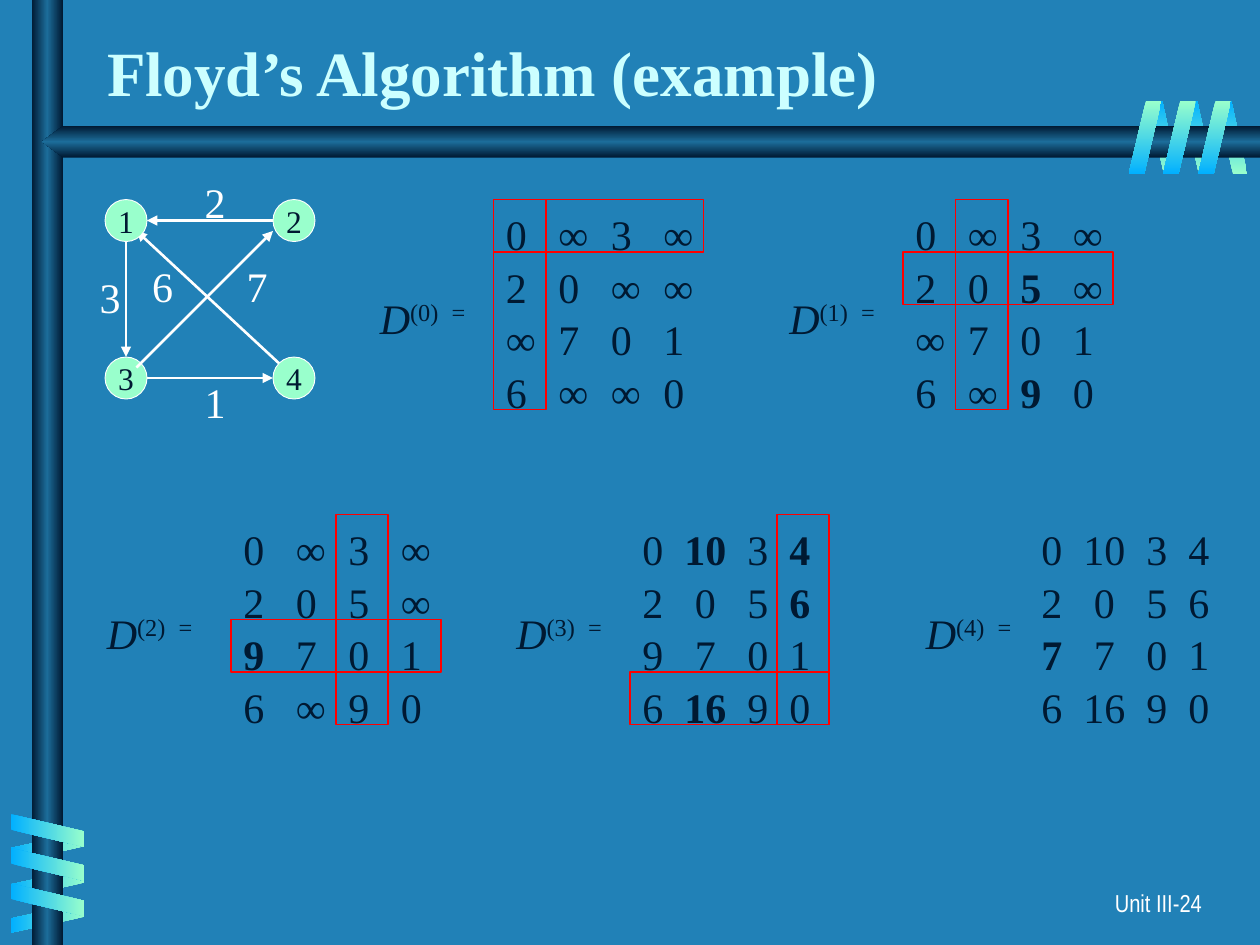
from copy import deepcopy

from lxml import etree
from pptx import Presentation
from pptx.dml.color import RGBColor
from pptx.enum import shapes, text
from pptx.oxml.ns import qn
from pptx.util import Pt

BLUE = RGBColor(0x21, 0x81, 0xB7)
NAVY = RGBColor(0x00, 0x19, 0x32)
STEEL = RGBColor(0x1C, 0x6D, 0x9A)
SKY = RGBColor(0x01, 0xB0, 0xFF)
MINT = RGBColor(0x99, 0xFF, 0xCC)
PALE = RGBColor(0xCC, 0xFF, 0xFF)
WHITE = RGBColor(0xFF, 0xFF, 0xFF)
RED = RGBColor(0xFF, 0x00, 0x00)

TITLE = "Floyd’s Algorithm (example)"
PAGE = "Unit III-24"

BODY = {"name": "Times New Roman", "size": Pt(24)}
MATRIX_FONT = {**BODY, "color": NAVY}
WEIGHT_FONT = {**BODY, "color": WHITE}
NODE_FONT = {**BODY, "size": Pt(18), "color": NAVY}
TITLE_FONT = {**BODY, "size": Pt(36), "color": PALE, "bold": True}
PAGE_FONT = {"name": "Arial Narrow", "size": Pt(14), "color": WHITE}

WIDE = {"align": "l", "tabs": (30, 60, 90), "lefts": (0, 30, 60, 90)}
NARROW = {"align": "ctr", "tabs": (36, 66, 90), "lefts": (0, 24, 60, 84)}
CELL = 30

# label left, matrix left, top, columns, rows; * marks a changed value
MATRICES = [
    (210, 282, 114, WIDE, ["0 ∞ 3 ∞", "2 0 ∞ ∞", "∞ 7 0 1", "6 ∞ ∞ 0"]),
    (444, 516, 114, WIDE, ["0 ∞ 3 ∞", "2 0 *5 ∞", "∞ 7 0 1", "6 ∞ *9 0"]),
    (54, 132, 294, WIDE, ["0 ∞ 3 ∞", "2 0 5 ∞", "*9 7 0 1", "6 ∞ 9 0"]),
    (288, 360, 294, NARROW, ["0 *10 3 *4", "2 0 5 *6", "9 7 0 1", "6 *16 9 0"]),
    (522, 588, 294, NARROW, ["0 10 3 4", "2 0 5 6", "*7 7 0 1", "6 16 9 0"]),
]

NODES = {"3": (60, 204), "4": (156, 204), "1": (60, 114), "2": (156, 114)}
NODE_SIZE = 24
EDGES = [
    (72, 138, 72, 204),
    (156, 126, 84, 126),
    (84, 216, 156, 216),
    (78, 210, 156, 132),
    (162, 210, 78, 132),
]
WEIGHTS = [("1", 108, 210), ("3", 48, 150), ("2", 108, 96),
           ("6", 78, 144), ("7", 132, 144)]

STRIPE_LENGTH = 42
BACK_TOP = [(x, 57.6, 17.3, 180) for x in (695.5, 676, 656)]
BACK_SIDE = [(18.7, y, 17.3, 90) for y in (463, 483.8, 503.3)]
FRONT_SIDE = [(18, y, 18.7, 270) for y in (453.6, 473, 493.2)]
FRONT_TOP = [(x, 57.6, 18.7, 0) for x in (684.7, 664.6, 645)]

prs = Presentation()
prs.slide_width, prs.slide_height = Pt(720), Pt(540)
slide = prs.slides.add_slide(prs.slide_layouts[5])
slide.background.fill.solid()
slide.background.fill.fore_color.rgb = BLUE


def style(font, look):
    for key, value in look.items():
        if key == "color":
            font.color.rgb = value
        else:
            setattr(font, key, value)


def write(paragraph, words, look, **extra):
    run = paragraph.add_run()
    run.text = words
    style(run.font, {**look, **extra})
    return run


def set_tabs(paragraph, stops, align):
    tab_list = etree.SubElement(paragraph._p.get_or_add_pPr(), qn("a:tabLst"))
    for stop in stops:
        etree.SubElement(tab_list, qn("a:tab"), pos=str(Pt(stop)), algn=align)


def add_box(left, top, width, height):
    frame = slide.shapes.add_textbox(Pt(left), Pt(top), Pt(width), Pt(height)).text_frame
    frame.word_wrap = True
    return frame


def add_preset(kind, left, top, width, height):
    shape = slide.shapes.add_shape(kind, Pt(left), Pt(top), Pt(width), Pt(height))
    shape.shadow.inherit = False
    return shape


def shade(shape, colours, angle):
    shape.line.fill.background()
    shape.fill.gradient()
    shape.fill.gradient_angle = angle
    stops = shape.element.spPr.find(".//" + qn("a:gsLst"))
    for _ in colours[2:]:
        stops.append(deepcopy(stops[0]))
    for i, (stop, colour) in enumerate(zip(shape.fill.gradient_stops, colours)):
        stop.color.rgb = colour
        stop.position = i / (len(colours) - 1)


def add_stripes(stripes, flipped):
    for left, top, width, turn in stripes:
        stripe = add_preset(shapes.MSO_SHAPE.PARALLELOGRAM, left, top, width, STRIPE_LENGTH)
        stripe.adjustments[0] = 0.53
        stripe.rotation = turn
        if flipped:
            stripe.element.spPr.get_or_add_xfrm().set("flipH", "1")
        shade(stripe, (SKY, MINT) if turn == 270 else (MINT, SKY), 270)


def add_bars():
    steel_bar = (NAVY, STEEL, NAVY)
    shade(add_preset(shapes.MSO_SHAPE.RECTANGLE, 18, 0, 18, 540), steel_bar, 0)
    outline = slide.shapes.build_freeform(Pt(720), Pt(72))
    outline.add_line_segments(
        [(Pt(x), Pt(y)) for x, y in ((36, 72), (24, 81), (36, 90), (720, 90))])
    pointed_bar = outline.convert_to_shape()
    pointed_bar.shadow.inherit = False
    shade(pointed_bar, steel_bar, 270)


def add_band(left, top, width, height):
    band = add_preset(shapes.MSO_SHAPE.RECTANGLE, left, top, width, height)
    band.fill.background()
    band.line.color.rgb = RED
    band.line.width = Pt(1)


def add_matrix(k, label_left, left, top, columns, rows):
    lefts = columns["lefts"]
    frame = add_box(left, top, 126, 122.4)
    for i, row in enumerate(rows):
        line = frame.paragraphs[0] if i == 0 else frame.add_paragraph()
        line.line_spacing = 1.05
        set_tabs(line, columns["tabs"], columns["align"])
        for j, value in enumerate(row.split()):
            if j:
                write(line, "\t", MATRIX_FONT)
            write(line, value.lstrip("*"), MATRIX_FONT, bold=value.startswith("*"))

    label = add_box(label_left, top + 48, 78, 36).paragraphs[0]
    label.line_spacing = 1.05
    set_tabs(label, (41,), "l")
    write(label, "D", MATRIX_FONT, italic=True)
    power = write(label, f"({k})\t=", MATRIX_FONT)
    power.font._element.set("baseline", "30000")

    if k < len(rows):
        add_band(left, top + k * CELL, lefts[-1] + CELL, CELL)
        add_band(left + lefts[k], top, CELL, len(rows) * CELL)


def add_node(name):
    node = add_preset(shapes.MSO_SHAPE.OVAL, *NODES[name], NODE_SIZE, NODE_SIZE)
    node.fill.solid()
    node.fill.fore_color.rgb = MINT
    node.line.color.rgb = WHITE
    node.line.width = Pt(0.5)
    node.text_frame.word_wrap = False
    node.text_frame.vertical_anchor = text.MSO_ANCHOR.MIDDLE
    caption = node.text_frame.paragraphs[0]
    caption.alignment = text.PP_ALIGN.CENTER
    write(caption, name, NODE_FONT)


def add_edge(*ends):
    edge = slide.shapes.add_connector(shapes.MSO_CONNECTOR.STRAIGHT, *map(Pt, ends))
    edge.line.color.rgb = WHITE
    edge.line.width = Pt(1.5)
    etree.SubElement(edge.line._get_or_add_ln(), qn("a:tailEnd"), type="triangle")
    etree.SubElement(edge.element.spPr, qn("a:effectLst"))


add_stripes(BACK_TOP + BACK_SIDE, True)
add_bars()
add_stripes(FRONT_SIDE + FRONT_TOP, False)

title = slide.shapes.title
title.left, title.top, title.width, title.height = Pt(54), Pt(0), Pt(666), Pt(66)
title.text_frame.vertical_anchor = text.MSO_ANCHOR.BOTTOM
title.text_frame.paragraphs[0].alignment = text.PP_ALIGN.LEFT
write(title.text_frame.paragraphs[0], TITLE, TITLE_FONT)

page = add_box(544, 504, 150, 24).paragraphs[0]
page.alignment = text.PP_ALIGN.RIGHT
write(page, PAGE, PAGE_FONT)

for k, matrix in enumerate(MATRICES):
    add_matrix(k, *matrix)

add_node("3")
for edge_ends in EDGES:
    add_edge(*edge_ends)
for weight, left, top in WEIGHTS:
    number = add_box(left, top, 30, 36).paragraphs[0]
    number.alignment = text.PP_ALIGN.CENTER
    number.line_spacing = 1.05
    write(number, weight, WEIGHT_FONT)
for name in ("4", "1", "2"):
    add_node(name)

prs.save("out.pptx")
